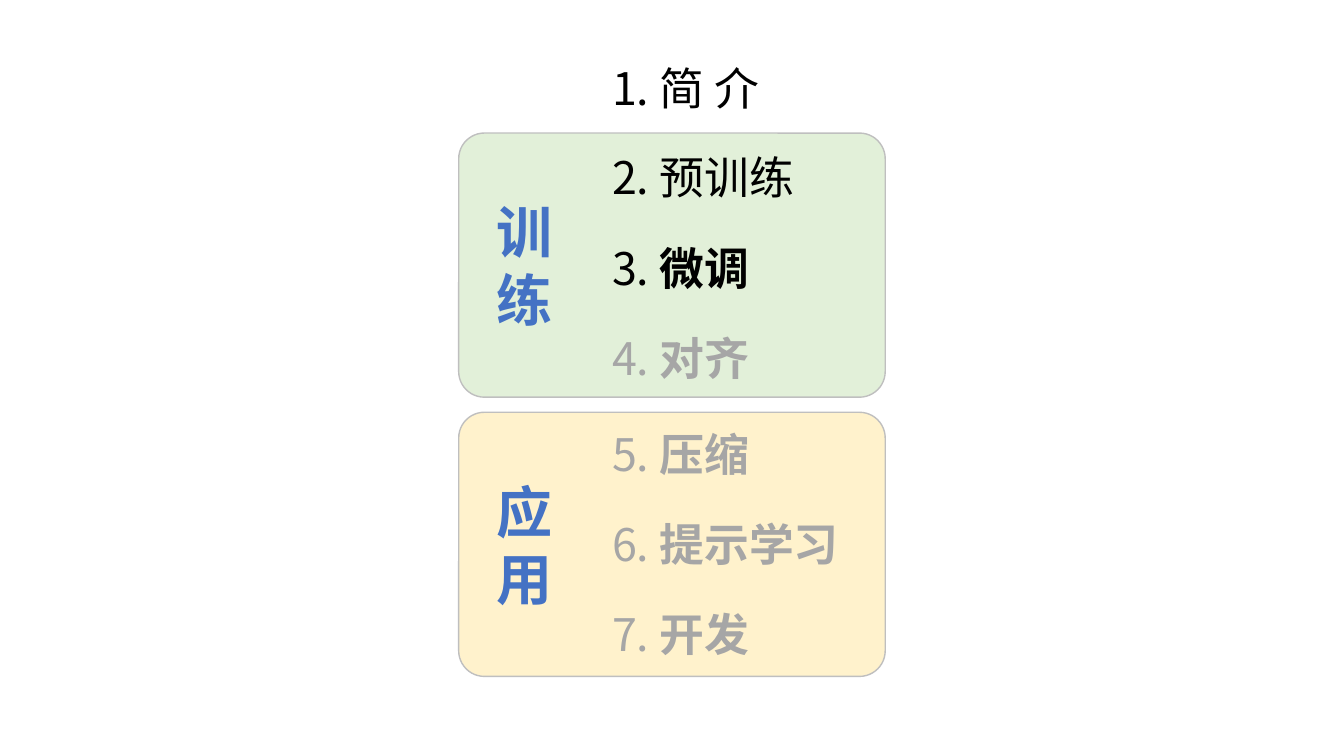
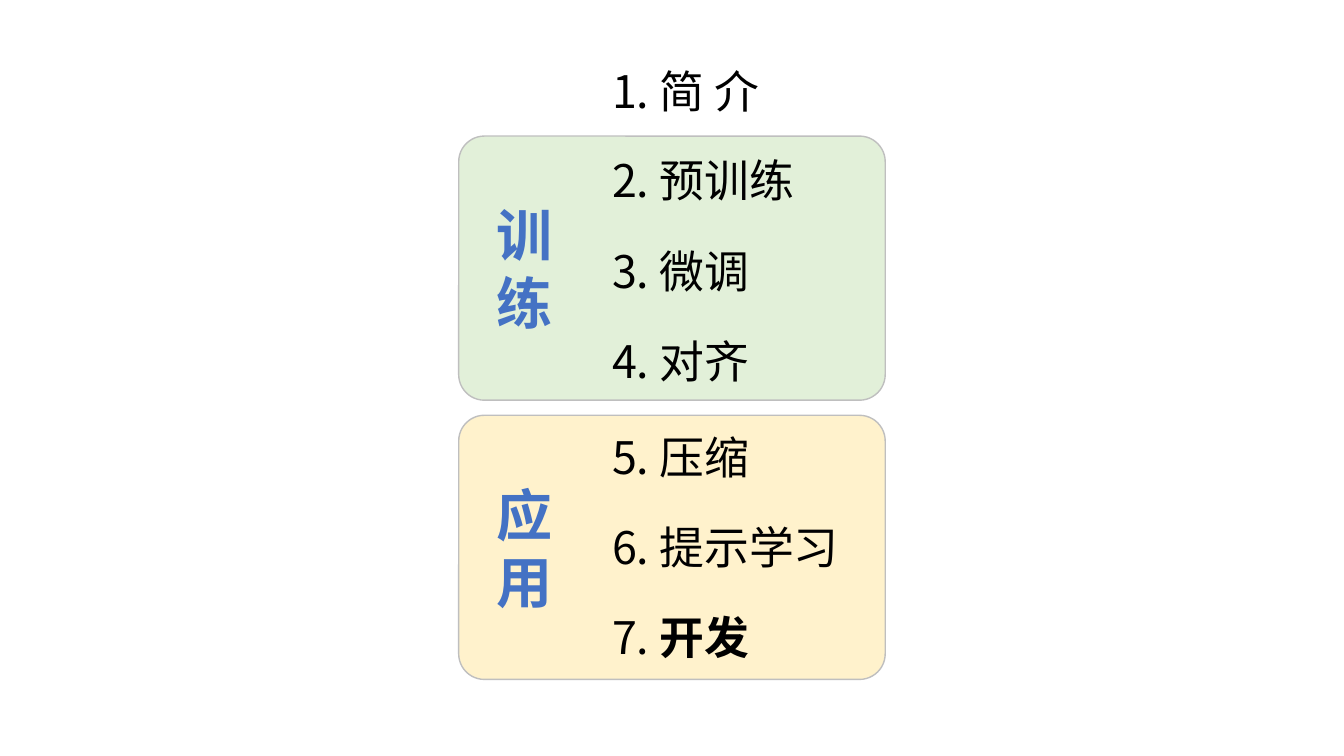
"""Build two agenda slides that mark progress through a course."""
from lxml import etree
from pptx import Presentation
from pptx.dml.color import RGBColor
from pptx.enum.shapes import MSO_SHAPE
from pptx.enum.text import MSO_ANCHOR, MSO_AUTO_SIZE, PP_ALIGN
from pptx.oxml.ns import qn
from pptx.util import Inches, Pt

ROUNDED_RECTANGLE = MSO_SHAPE.ROUNDED_RECTANGLE
MIDDLE, TOP = MSO_ANCHOR.MIDDLE, MSO_ANCHOR.TOP
GROW = MSO_AUTO_SIZE.SHAPE_TO_FIT_TEXT
LEFT = PP_ALIGN.LEFT

BLACK = RGBColor(0x00, 0x00, 0x00)
GREY = RGBColor(0xA6, 0xA6, 0xA6)
BORDER = RGBColor(0xBF, 0xBF, 0xBF)
BLUE = RGBColor(0x44, 0x72, 0xC4)
GREEN = RGBColor(0xE2, 0xF0, 0xD9)
YELLOW = RGBColor(0xFF, 0xF2, 0xCC)

FONT = "Noto Sans CJK SC"
BLANK_LAYOUT = 6
PANEL_LEFT, PANEL_WIDTH, PANEL_HEIGHT = 4.55, 4.23, 2.62
ITEM_LEFT, ITEM_WIDTH, ITEM_HEIGHT = 5.87, 2.91, 0.64
ITEM_PITCH = 1.79 / 2

PANELS = [("训练", GREEN, 0.77), ("应用", YELLOW, 3.54)]
SECTIONS = [
    (0, ["简 介"]),
    (0.89, ["预训练", "微调", "对齐"]),
    (3.63, ["压缩", "提示学习", "开发"]),
]
AGENDAS = [(0.55, 3), (0.58, 7)]


class AgendaDeck:
    """Hold the shared style and the current slide."""

    def __init__(self):
        """Start an empty widescreen presentation."""
        self.presentation = Presentation()
        self.presentation.slide_width = Inches(13.33)
        self.presentation.slide_height = Inches(7.5)
        self.slide = None

    def add_slide(self):
        """Make a new blank slide the current one."""
        layout = self.presentation.slide_layouts[BLANK_LAYOUT]
        self.slide = self.presentation.slides.add_slide(layout)

    def format_frame(self, frame, **values):
        """Apply format values to a text frame."""
        for name, value in values.items():
            setattr(frame, name, value)

    def add_run(self, paragraph, text, size, color, bold):
        """Add a run in the deck font, for Latin and East Asian text."""
        run = paragraph.add_run()
        run.text = text
        run.font.color.rgb = color
        for name, value in {"name": FONT, "size": Pt(size), "bold": bold}.items():
            setattr(run.font, name, value)
        properties = run.font._element
        etree.SubElement(properties, qn("a:ea"), typeface=FONT)

    def add_panel(self, label, fill, top):
        """Add a rounded panel with its label set one character a line."""
        shape = self.slide.shapes.add_shape(
            ROUNDED_RECTANGLE, Inches(PANEL_LEFT), Inches(top),
            Inches(PANEL_WIDTH), Inches(PANEL_HEIGHT))
        shape.adjustments[0] = 0.097
        shape.shadow.inherit = False
        shape.fill.solid()
        shape.fill.fore_color.rgb = fill
        shape.line.color.rgb = BORDER
        shape.line.width = Pt(1)
        frame = shape.text_frame
        self.format_frame(frame, word_wrap=True, vertical_anchor=MIDDLE,
                          margin_left=Inches(0.3), margin_right=Inches(0.1),
                          margin_top=Inches(0.05), margin_bottom=Inches(0.05))
        for index, character in enumerate(label):
            paragraph = frame.add_paragraph() if index else frame.paragraphs[0]
            paragraph.alignment = LEFT
            self.add_run(paragraph, character, 40, BLUE, True)

    def add_item(self, number, title, top, current):
        """Add an agenda item: done is plain, current bold, later grey."""
        box = self.slide.shapes.add_textbox(
            Inches(ITEM_LEFT), Inches(top), Inches(ITEM_WIDTH), Inches(ITEM_HEIGHT))
        frame = box.text_frame
        self.format_frame(frame, word_wrap=True, auto_size=GROW,
                          vertical_anchor=TOP, margin_left=Inches(0.2))
        color = GREY if number > current else BLACK
        paragraph = frame.paragraphs[0]
        self.add_run(paragraph, f"{number}. ", 32, color, False)
        self.add_run(paragraph, title, 32, color, number >= current)

    def add_agenda(self, top, current):
        """Add a slide with the whole agenda at one current item."""
        self.add_slide()
        for label, fill, offset in PANELS:
            self.add_panel(label, fill, top + offset)
        number = 0
        for offset, titles in SECTIONS:
            for row, title in enumerate(titles):
                number += 1
                self.add_item(number, title, top + offset + row * ITEM_PITCH, current)


def main():
    """Build and save the deck."""
    deck = AgendaDeck()
    for top, current in AGENDAS:
        deck.add_agenda(top, current)
    deck.presentation.save("out.pptx")


if __name__ == "__main__":
    main()
